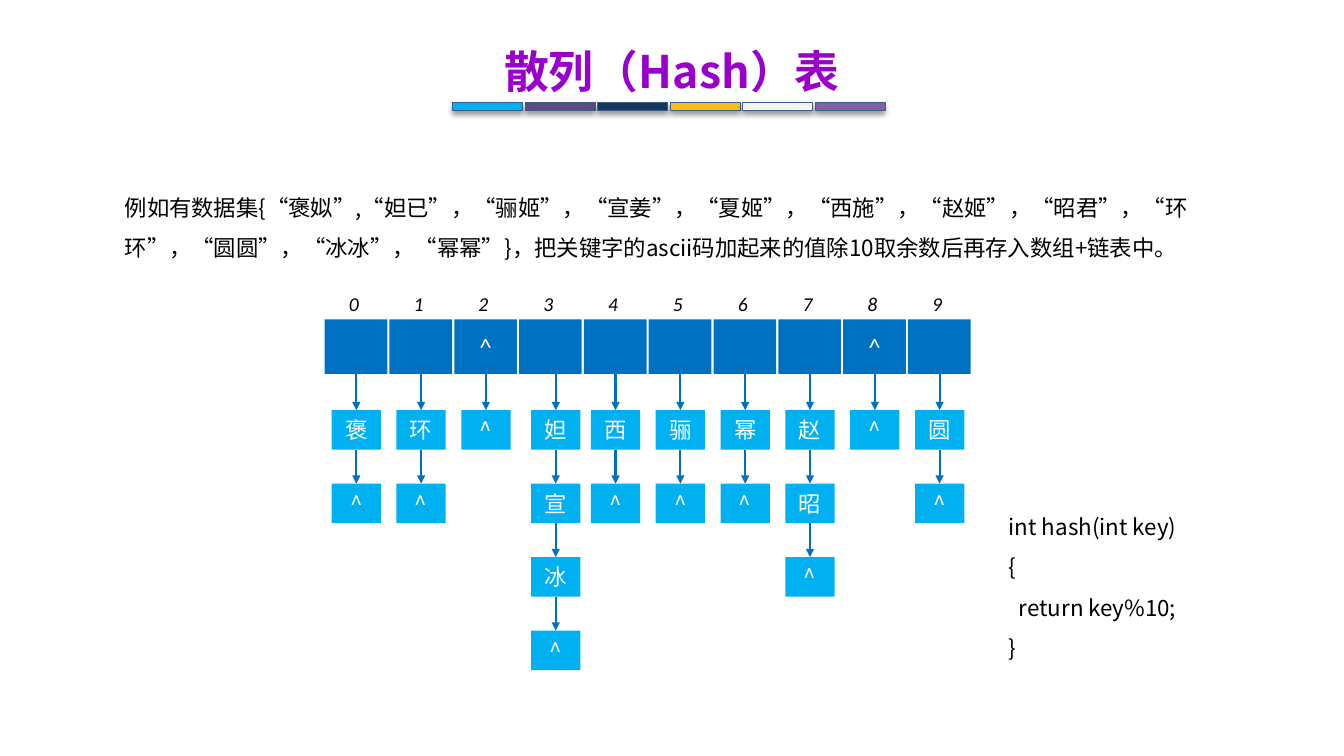
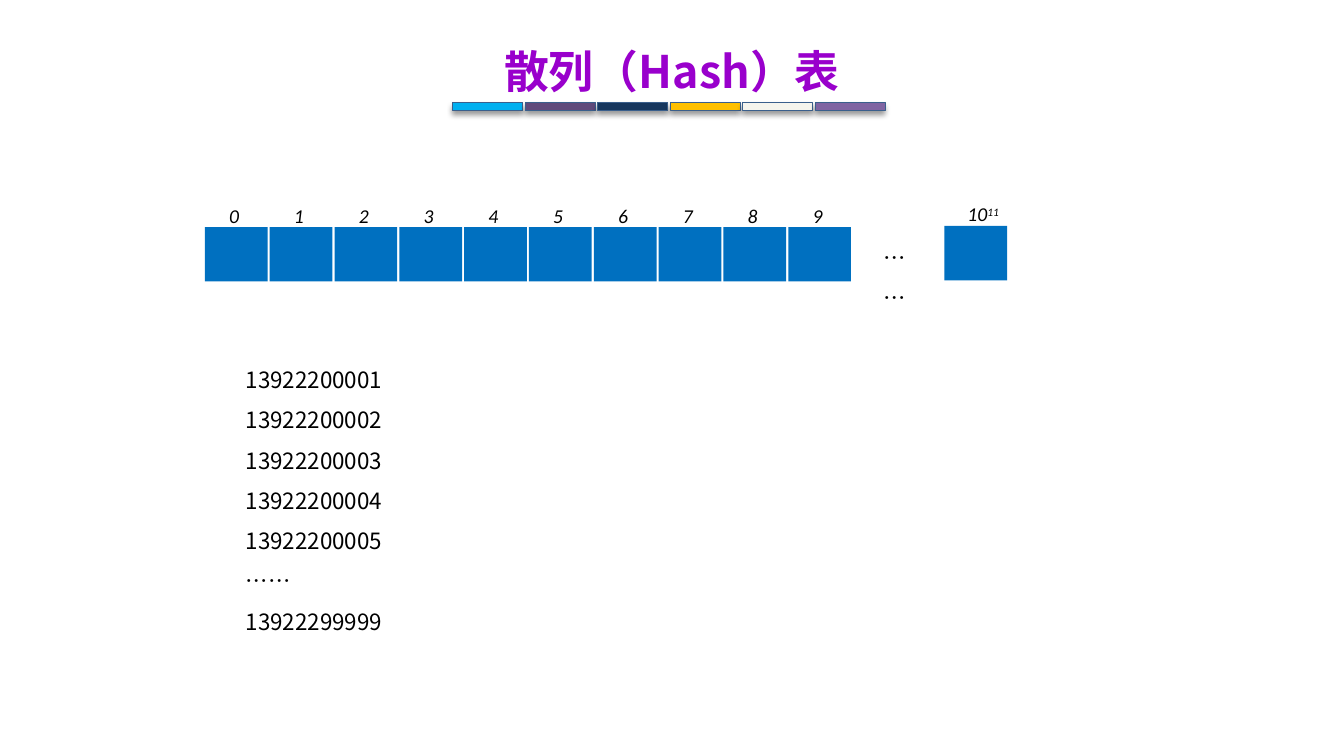
from lxml import etree
from pptx import Presentation, dml
from pptx import util as u
from pptx.dml import color as colors
from pptx.enum import shapes, text
from pptx.oxml import ns

CJK, LATIN = "Noto Sans CJK SC", "Calibri"
PURPLE, BLUE, SKY, WHITE, BLACK = "9900CC", "0070C0", "00B0F0", "FFFFFF", "000000"
BAR_COLOURS = [SKY, "604A7B", "17375E", "FFC000", "F5F4ED", "8064A2"]
BAR_PITCH = 51.8
CELL_WIDTH, CELL_HEIGHT, CELL_PITCH = 44.8, 38.8, 46.3
NODE_WIDTH, NODE_HEIGHT, NODE_PITCH = 35.2, 28.2, 52.5
NODE_TOP = 293


def paint(fill, colour):
    fill.solid()
    fill.fore_color.rgb = colors.RGBColor.from_string(colour)


def write(page, content, left, top, width, height, fill=None, size=16, font=CJK,
          colour=BLACK, bold=False, italic=False, align="LEFT", spacing=1,
          wrap=True, raised="", indents=()):
    area = [u.Pt(value) for value in (left, top, width, height)]
    if fill:
        box = page.shapes.add_shape(shapes.MSO_SHAPE.RECTANGLE, *area)
        box.shadow.inherit = False
        paint(box.fill, fill)
        box.line.fill.background()
    else:
        box = page.shapes.add_textbox(*area)
        box.text_frame.auto_size = text.MSO_AUTO_SIZE.SHAPE_TO_FIT_TEXT
    frame = box.text_frame
    frame.word_wrap = wrap
    frame.vertical_anchor = text.MSO_ANCHOR.MIDDLE if fill else text.MSO_ANCHOR.TOP
    for number, line in enumerate(content.split("\n")):
        para = frame.add_paragraph() if number else frame.paragraphs[0]
        para.alignment = text.PP_ALIGN[align]
        para.line_spacing = spacing
        if number in indents:
            para._p.get_or_add_pPr().set("marL", str(u.Pt(7.2)))
        for part, baseline in ((line, 0), (raised, 30000)):
            if not part:
                continue
            span = para.add_run()
            span.text = part
            span.font.size = u.Pt(size)
            span.font.name = font
            span.font.bold = bold
            span.font.italic = italic
            paint(span.font.fill, colour)
            props = span._r.get_or_add_rPr()
            props.set("lang", "zh-CN")
            if baseline:
                props.set("baseline", str(baseline))
            etree.SubElement(props, ns.qn("a:ea"), typeface=font)
    return box


deck = Presentation()
deck.slide_width, deck.slide_height = u.Pt(960), u.Pt(540)
chain_page, phone_page = [deck.slides.add_slide(deck.slide_layouts[6]) for _ in range(2)]

label_format = dict(size=14, font=LATIN, italic=True, wrap=False)
arrays = [(chain_page, 231.9, 228.2, 205.2, (2, 8)), (phone_page, 146.4, 162.2, 142.2, ())]

for page, array_left, array_top, label_top, empty_slots in arrays:
    write(page, "散列（Hash）表", 0, 8.6, 960, 65.5, size=32, colour=PURPLE,
          bold=True, align="CENTER", spacing=1.5)
    for number, colour in enumerate(BAR_COLOURS):
        bar = write(page, "", 323.3 + number * BAR_PITCH, 73, 50, 6, fill=colour)
        paint(bar.line.fill, "3A5F8C")
        bar.line.width = u.Pt(0.25)
        effects = bar._element.spPr.find(ns.qn("a:effectLst"))
        shadow = etree.SubElement(effects, ns.qn("a:outerShdw"), blurRad=str(u.Pt(4)),
                                  dist=str(u.Pt(3)), dir="5400000", rotWithShape="0")
        shade = etree.SubElement(shadow, ns.qn("a:srgbClr"), val=BLACK)
        etree.SubElement(shade, ns.qn("a:alpha"), val="40000")

    for slot in range(10):
        left = array_left + slot * CELL_PITCH
        write(page, "^" if slot in empty_slots else "", left, array_top, CELL_WIDTH,
              CELL_HEIGHT, fill=BLUE, size=18, font=LATIN, colour=WHITE, align="CENTER")
        write(page, str(slot), left + 10.2, label_top, 21.8, 24.2, **label_format)

write(chain_page,
      "例如有数据集{“褒姒”,“妲已”，“骊姬”，“宣姜”，“夏姬”，“西施”，“赵姬”，“昭君”，"
      "“环环”，“圆圆”，“冰冰”，“幂幂”}，把关键字的ascii码加起来的值除10取余数后再存入数组+链表中。",
      82, 125.3, 782, 65.5, spacing=1.5)

chains = ["褒^", "环^", "^", "妲宣冰^", "西^", "骊^", "幂^", "赵昭^", "^", "圆^"]
nudges = {3: 3.6}
for slot, chain in enumerate(chains):
    left = 236.9 + slot * CELL_PITCH + nudges.get(slot, 0)
    middle = left + NODE_WIDTH / 2
    arrow_top = 267
    for depth, key in enumerate(chain):
        top = NODE_TOP + depth * NODE_PITCH
        arrow = chain_page.shapes.add_connector(
            shapes.MSO_CONNECTOR.STRAIGHT, u.Pt(middle), u.Pt(arrow_top), u.Pt(middle), u.Pt(top))
        paint(arrow.line.fill, BLUE)
        arrow.line.width = u.Pt(1.5)
        etree.SubElement(arrow.line._get_or_add_ln(), ns.qn("a:tailEnd"), type="triangle")
        etree.SubElement(arrow._element.spPr, ns.qn("a:effectLst"))
        write(chain_page, key, left, top, NODE_WIDTH, NODE_HEIGHT, fill=SKY,
              colour=WHITE, align="CENTER")
        arrow_top = top + NODE_HEIGHT

write(chain_page, "int hash(int key)\n{\nreturn key%10;\n}", 713.5, 353.5, 168.5, 124,
      spacing=1.5, indents=(2,))

phones = [str(13922200000 + number) for number in range(1, 6)]
write(phone_page, "\n".join(phones + ["……", "13922299999"]), 168.5, 248.4, 155, 211, spacing=1.5)
write(phone_page, "", 674.6, 161.4, CELL_WIDTH, CELL_HEIGHT, fill=BLUE)
write(phone_page, "10", 684, 141, 39, 24.2, raised="11", **label_format)
write(phone_page, "……", 624.2, 161.3, 44.6, 36, spacing=1.5)

deck.save("out.pptx")
